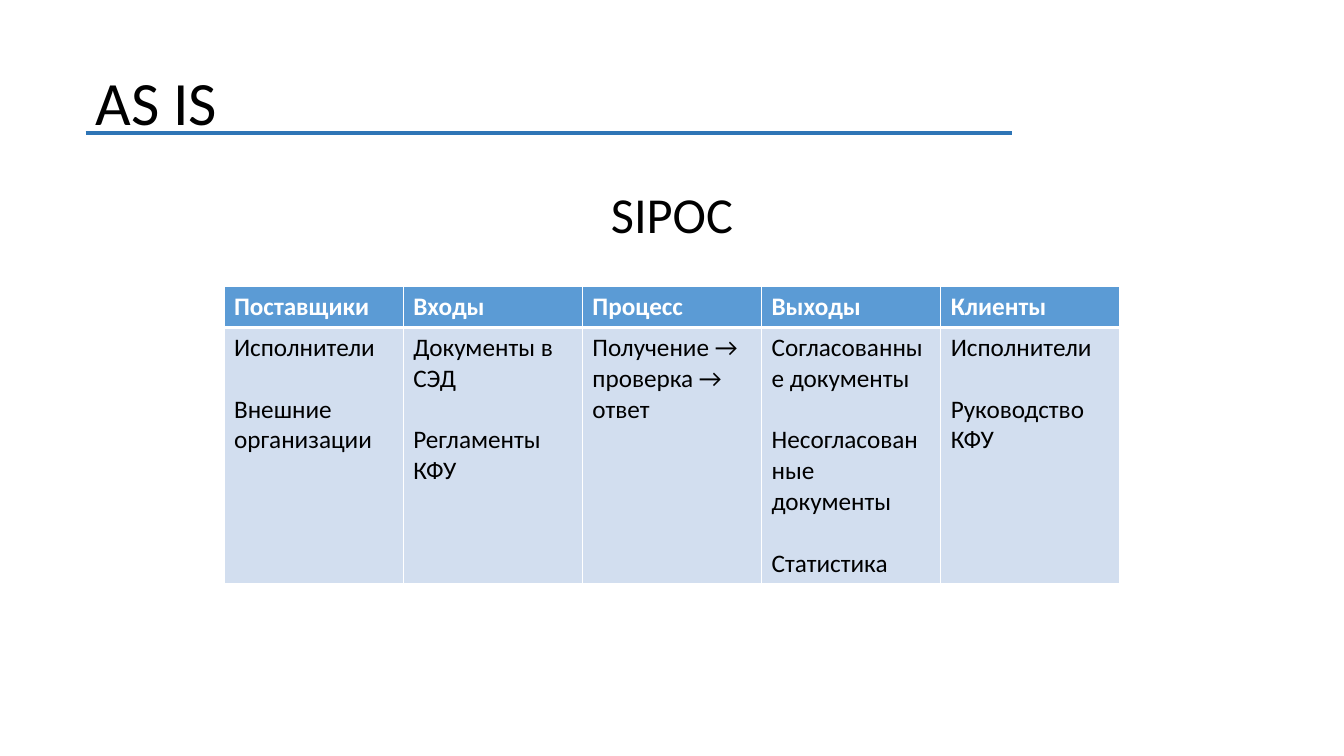
from dataclasses import dataclass

from lxml.etree import SubElement
from pptx import Presentation
from pptx.dml.color import RGBColor
from pptx.enum.shapes import MSO_CONNECTOR
from pptx.enum.text import MSO_ANCHOR, MSO_AUTO_SIZE, PP_ALIGN
from pptx.oxml.ns import qn
from pptx.util import Inches, Pt

SECTION = "AS IS"
TITLE = "SIPOC"
SIPOC = {
    "Поставщики": ["Исполнители", "Внешние организации"],
    "Входы": ["Документы в СЭД", "Регламенты КФУ"],
    "Процесс": ["Получение → проверка → ответ"],
    "Выходы": ["Согласованные документы", "Несогласованные документы", "Статистика"],
    "Клиенты": ["Исполнители", "Руководство КФУ"],
}


@dataclass(frozen=True)
class Theme:
    font: str = "Calibri"
    text: str = "000000"
    light: str = "FFFFFF"
    header: str = "5B9BD5"
    body: str = "D2DEEF"
    rule: str = "2E75B6"
    section_size: int = 44
    title_size: int = 36
    table_size: int = 18
    item_gap: int = 22
    thin: int = 1
    thick: int = 3


THEME = Theme()
WIDTH, HEIGHT = Inches(13.33), Inches(7.5)
MARGIN = Inches(0.85)
RULE_TOP, RULE_END = Inches(1.32), Inches(10.04)
TABLE_TOP = Inches(2.84)
TABLE_WIDTH = WIDTH * 2 // 3
HEADER_HEIGHT, BODY_HEIGHT = Inches(0.41), Inches(2.5)


def style(para, size, color, bold=False):
    for span in para.runs:
        span.font.name = THEME.font
        span.font.size = Pt(size)
        span.font.bold = bold
        span.font.color.rgb = RGBColor.from_string(color)


def write_heading(box, text, size, align):
    frame = box.text_frame
    frame.word_wrap = True
    frame.auto_size = MSO_AUTO_SIZE.NONE
    frame.vertical_anchor = MSO_ANCHOR.MIDDLE
    frame.text = text
    para = frame.paragraphs[0]
    para.alignment = align
    para.line_spacing = 0.9
    style(para, size, THEME.text)


def add_borders(cell, top, bottom):
    properties = cell._tc.get_or_add_tcPr()
    widths = {"lnL": THEME.thin, "lnR": THEME.thin, "lnT": top, "lnB": bottom}
    for side, width in widths.items():
        line = SubElement(properties, qn(f"a:{side}"), w=str(Pt(width)))
        SubElement(SubElement(line, qn("a:solidFill")), qn("a:srgbClr"), val=THEME.light)


def fill_cell(cell, items, fill, color, bold, top, bottom):
    add_borders(cell, top, bottom)
    cell.fill.solid()
    cell.fill.fore_color.rgb = RGBColor.from_string(fill)
    cell.text_frame.text = "\n".join(items)
    for index, para in enumerate(cell.text_frame.paragraphs):
        if index:
            para.space_before = Pt(THEME.item_gap)
        style(para, THEME.table_size, color, bold)


def add_sipoc_table(page):
    left = (WIDTH - TABLE_WIDTH) // 2
    table = page.shapes.add_table(2, len(SIPOC), left, TABLE_TOP, TABLE_WIDTH,
                                  HEADER_HEIGHT + BODY_HEIGHT).table
    table.horz_banding = False
    table.rows[0].height, table.rows[1].height = HEADER_HEIGHT, BODY_HEIGHT
    for column, (name, items) in enumerate(SIPOC.items()):
        fill_cell(table.cell(0, column), [name], THEME.header, THEME.light, True,
                  THEME.thin, THEME.thick)
        fill_cell(table.cell(1, column), items, THEME.body, THEME.text, False,
                  THEME.thick, THEME.thin)


def add_rule(page):
    rule = page.shapes.add_connector(MSO_CONNECTOR.STRAIGHT, MARGIN, RULE_TOP, RULE_END, RULE_TOP)
    rule.line.color.rgb = RGBColor.from_string(THEME.rule)
    rule.line.width = Pt(2.25)
    SubElement(rule._element.spPr, qn("a:effectLst"))


def main():
    deck = Presentation()
    deck.slide_width, deck.slide_height = WIDTH, HEIGHT
    page = deck.slides.add_slide(deck.slide_layouts.get_by_name("Title Only"))

    title = page.shapes.title
    title.left, title.top, title.width, title.height = 0, Inches(1.43), WIDTH, Inches(1.45)
    write_heading(title, TITLE, THEME.title_size, PP_ALIGN.CENTER)
    add_sipoc_table(page)
    section = page.shapes.add_textbox(MARGIN, Inches(0.66), WIDTH - MARGIN, Inches(0.77))
    write_heading(section, SECTION, THEME.section_size, PP_ALIGN.LEFT)
    add_rule(page)
    deck.save("out.pptx")


if __name__ == "__main__":
    main()
